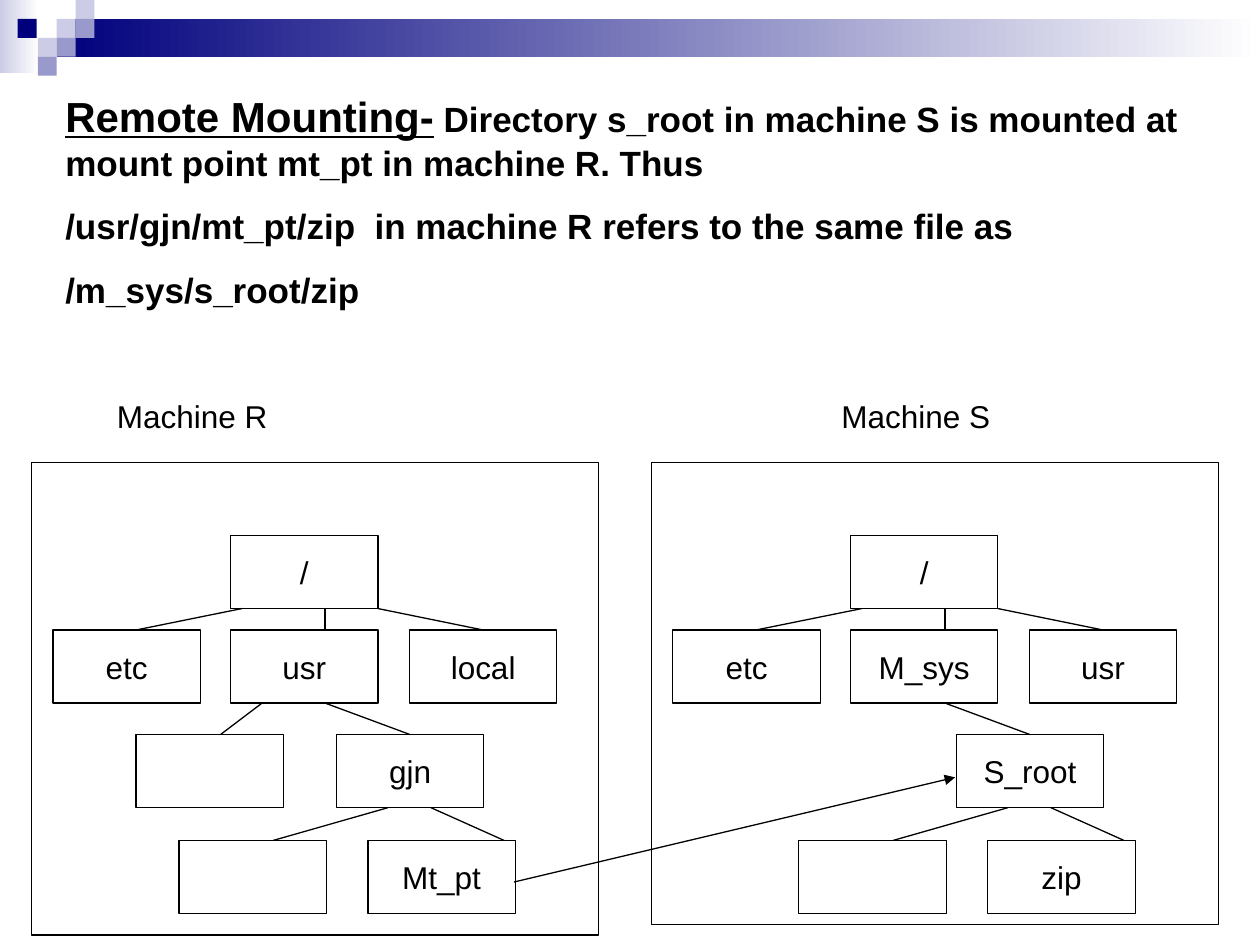
from dataclasses import dataclass
from typing import Optional

from lxml.etree import SubElement
from pptx import Presentation
from pptx.dml.color import RGBColor
from pptx.enum.shapes import MSO_CONNECTOR, MSO_SHAPE
from pptx.enum.text import MSO_ANCHOR, MSO_AUTO_SIZE, PP_ALIGN
from pptx.oxml.ns import qn
from pptx.util import Inches, Pt

COLORS = {
    "black": "000000",
    "white": "FFFFFF",
    "navy": "00007D",
    "violet": "9999CC",
    "lavender": "CCCCE6",
}
FONT = "Arial"
NODE_WIDTH, NODE_HEIGHT = 1.17, 0.58
SQUARE = 0.15
MACHINE_SHIFT = 4.92
TOP = 0


@dataclass
class Node:
    left: float
    top: float


@dataclass
class Branch:
    parent: str
    child: str
    start_x: float
    end_x: float
    joined: bool = False


@dataclass
class Machine:
    title: str
    title_left: float
    shift: float
    frame_height: float
    labels: dict


NODES = {
    "root": Node(1.83, 4.25),
    "left": Node(0.42, 5),
    "middle": Node(1.83, 5),
    "right": Node(3.25, 5),
    "sibling": Node(1.08, 5.83),
    "directory": Node(2.67, 5.83),
    "leaf": Node(1.42, 6.67),
    "target": Node(2.92, 6.67),
}

BRANCHES = [
    Branch("root", "left", 1.92, 1.08),
    Branch("root", "middle", 2.58, 2.58),
    Branch("root", "right", 3, 3.83, joined=True),
    Branch("middle", "sibling", 2.08, 1.75),
    Branch("middle", "directory", 2.58, 3.25, joined=True),
    Branch("directory", "leaf", 3.08, 2.17),
    Branch("directory", "target", 3.42, 4),
]

MACHINES = [
    Machine("Machine R", 0.83, 0, 3.75, {
        "root": "/", "left": "etc", "middle": "usr", "right": "local",
        "sibling": "", "directory": "gjn", "leaf": "", "target": "Mt_pt",
    }),
    Machine("Machine S", 6.58, MACHINE_SHIFT, 3.67, {
        "root": "/", "left": "etc", "middle": "M_sys", "right": "usr",
        "directory": "S_root", "leaf": "", "target": "zip",
    }),
]

SQUARES = [
    (0.45, 0.15, "lavender"),
    (0.6, 0, "lavender"),
    (0.6, 0.15, "violet"),
    (0.3, 0.3, "lavender"),
    (0.14, 0.15, "navy"),
    (0.45, 0.3, "violet"),
    (0.3, 0.45, "violet"),
]


def color(name: str) -> RGBColor:
    return RGBColor.from_string(COLORS[name])


def add_text(paragraph, text: str, *, size: float = 18, bold: bool = False,
             underline: bool = False, space_before: Optional[float] = None,
             align: Optional[PP_ALIGN] = None) -> None:
    run = paragraph.add_run()
    run.text = text
    run.font.name = FONT
    run.font.size = Pt(size)
    run.font.bold = bold
    run.font.underline = underline
    run.font.color.rgb = color("black")
    if space_before is not None:
        paragraph.space_before = Pt(space_before)
    if align is not None:
        paragraph.alignment = align


def add_rectangle(slide, left: float, top: float, width: float, height: float,
                  fill: Optional[str] = None, fade: bool = False):
    shape = slide.shapes.add_shape(MSO_SHAPE.RECTANGLE, Inches(left), Inches(top),
                                   Inches(width), Inches(height))
    shape.shadow.inherit = False
    if fill is None:
        shape.fill.background()
        shape.line.color.rgb = color("black")
        shape.line.width = Pt(0.75)
        return shape
    shape.line.fill.background()
    if fade:
        shape.fill.gradient()
        shape.fill.gradient_angle = 0
        for stop, name in zip(shape.fill.gradient_stops, (fill, "white")):
            stop.color.rgb = color(name)
    else:
        shape.fill.solid()
        shape.fill.fore_color.rgb = color(fill)
    return shape


def add_line(slide, start: tuple, end: tuple, arrow: bool = False):
    connector = slide.shapes.add_connector(
        MSO_CONNECTOR.STRAIGHT, *(Inches(value) for value in (*start, *end)))
    connector.line.color.rgb = color("black")
    connector.line.width = Pt(0.75)
    if arrow:
        SubElement(connector.line._get_or_add_ln(), qn("a:tailEnd"), type="triangle")
    SubElement(connector._element.spPr, qn("a:effectLst"))
    return connector


def add_text_box(slide, left: float, top: float, width: float, height: float):
    frame = slide.shapes.add_textbox(Inches(left), Inches(top),
                                     Inches(width), Inches(height)).text_frame
    frame.word_wrap = True
    frame.auto_size = MSO_AUTO_SIZE.SHAPE_TO_FIT_TEXT
    return frame


def draw_header(slide) -> None:
    add_rectangle(slide, 0, 0, 0.31, 0.58, "lavender", fade=True)
    add_rectangle(slide, 0.45, 0.15, 9.55, 0.3, "navy", fade=True)
    for left, top, fill in SQUARES:
        add_rectangle(slide, left, top, SQUARE, SQUARE, fill)


def draw_machine(slide, machine: Machine) -> None:
    boxes = {}
    for key, label in machine.labels.items():
        node = NODES[key]
        box = add_rectangle(slide, node.left + machine.shift, node.top,
                            NODE_WIDTH, NODE_HEIGHT)
        boxes[key] = box
        if label:
            box.text_frame.word_wrap = False
            box.text_frame.vertical_anchor = MSO_ANCHOR.MIDDLE
            add_text(box.text_frame.paragraphs[0], label, align=PP_ALIGN.CENTER)
    for branch in BRANCHES:
        if branch.child not in boxes:
            continue
        start = (branch.start_x + machine.shift, NODES[branch.parent].top + NODE_HEIGHT)
        end = (branch.end_x + machine.shift, NODES[branch.child].top)
        connector = add_line(slide, start, end)
        if branch.joined:
            connector.end_connect(boxes[branch.child], TOP)
    add_rectangle(slide, 0.25 + machine.shift, 3.67, 4.5, machine.frame_height)
    caption = add_text_box(slide, machine.title_left, 3.1, 2.08, 0.4)
    add_text(caption.paragraphs[0], machine.title, space_before=11.2)


def draw_explanation(slide) -> None:
    frame = add_text_box(slide, 0.42, 0.67, 9.17, 1.85)
    first = frame.paragraphs[0]
    add_text(first, "Remote Mounting-", size=24, bold=True, underline=True)
    add_text(first, " Directory s_root in machine S is mounted at mount point mt_pt "
             "in machine R. Thus", size=20, bold=True, space_before=12.5)
    for text in ("/usr/gjn/mt_pt/zip  in machine R refers to the same file as",
                 "/m_sys/s_root/zip"):
        add_text(frame.add_paragraph(), text, size=20, bold=True, space_before=12.5)


def main() -> None:
    presentation = Presentation()
    presentation.slide_width = Inches(10)
    presentation.slide_height = Inches(7.5)
    slide = presentation.slides.add_slide(presentation.slide_layouts[6])
    draw_header(slide)
    for machine in MACHINES:
        draw_machine(slide, machine)
    add_line(slide, (4.08, 7), (7.58, 6.17), arrow=True)
    draw_explanation(slide)
    presentation.save("out.pptx")


if __name__ == "__main__":
    main()
